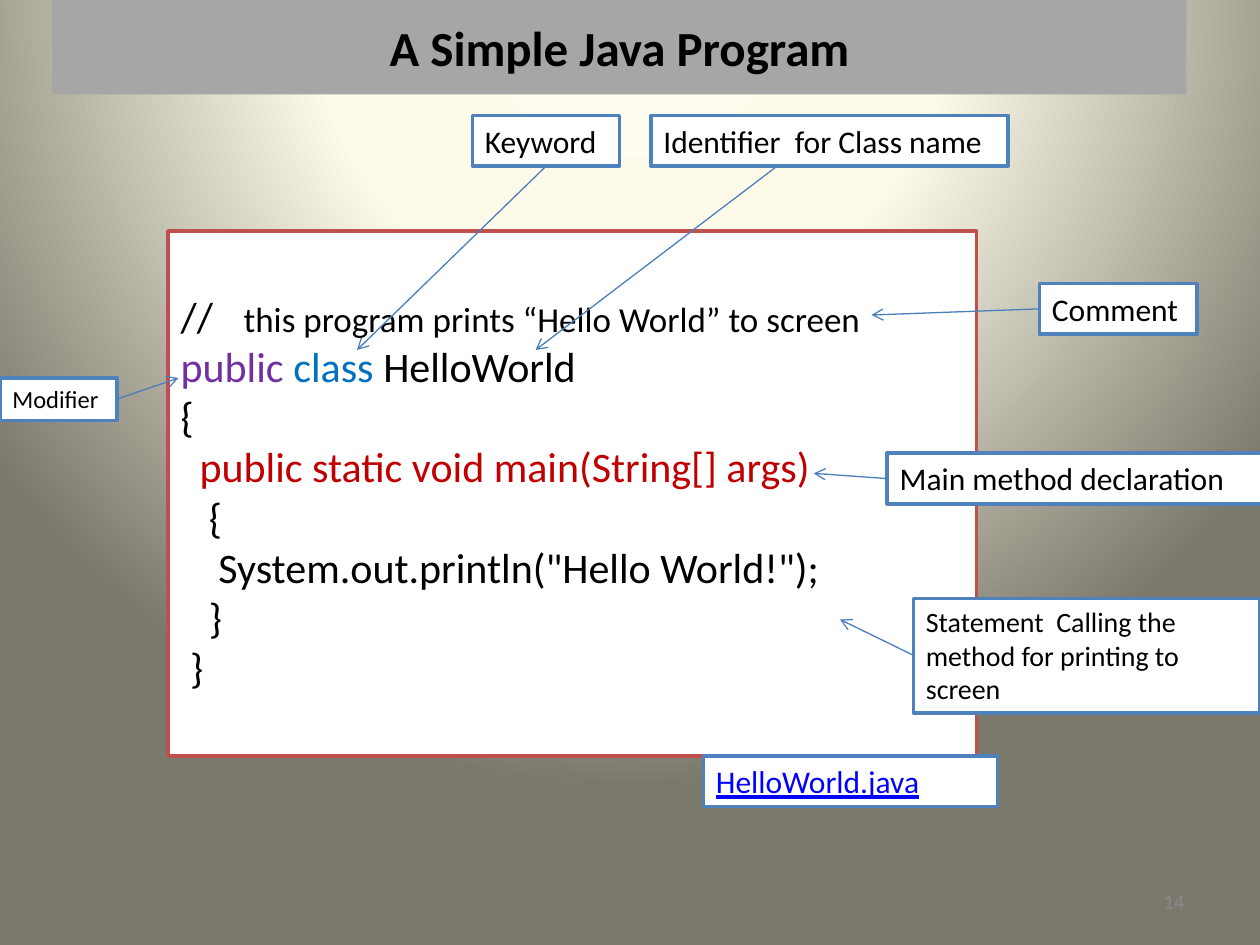
from dataclasses import dataclass

from lxml import etree
from pptx import Presentation
from pptx.dml.color import RGBColor
from pptx.enum.shapes import MSO_CONNECTOR as Connector, MSO_SHAPE as Shape
from pptx.enum.text import MSO_ANCHOR as Anchor, MSO_AUTO_SIZE as AutoSize, PP_ALIGN as Align
from pptx.oxml import parse_xml
from pptx.oxml.ns import nsdecls, qn
from pptx.util import Pt


@dataclass(frozen=True)
class Theme:
    font: str = "Calibri"
    black: str = "000000"
    white: str = "FFFFFF"
    band: str = "A6A6A6"
    code_border: str = "C0504D"
    label_border: str = "4F81BD"
    arrow: str = "4B7EBC"
    modifier: str = "7030A0"
    keyword: str = "0070C0"
    method: str = "C00000"
    link: str = "0000FF"
    number: str = "898989"
    title_size: int = 28
    code_size: int = 24
    comment_size: int = 20
    label_size: int = 18
    small_size: int = 16
    tiny_size: int = 14
    number_size: int = 12


theme = Theme()


def style_span(span, size, color=theme.black, bold=False):
    span.font.name = theme.font
    span.font.size = Pt(size)
    span.font.bold = bold
    span.font.color.rgb = RGBColor.from_string(color)


def paint(box, fill, border=None):
    box.fill.solid()
    box.fill.fore_color.rgb = RGBColor.from_string(fill)
    if border:
        box.line.color.rgb = RGBColor.from_string(border)
        box.line.width = Pt(2)


deck = Presentation()
deck.slide_width, deck.slide_height = Pt(720), Pt(540)
page = deck.slides.add_slide(deck.slide_layouts[1])

# Background: radial gradient centred above the page
stops = [(0, "FEFCEE"), (40, "FDFAEA"), (100, "7B796B")]
stop_xml = "".join(
    f'<a:gs pos="{position * 1000}"><a:srgbClr val="{color}"/></a:gs>' for position, color in stops)
page.element.cSld.insert(0, parse_xml(
    f'<p:bg {nsdecls("p", "a")}><p:bgPr><a:gradFill rotWithShape="1"><a:gsLst>{stop_xml}</a:gsLst>'
    '<a:path path="circle"><a:fillToRect l="50000" t="-80000" r="50000" b="180000"/></a:path>'
    '</a:gradFill><a:effectLst/></p:bgPr></p:bg>'))

# Title band
title = page.shapes.title
title.left, title.top, title.width, title.height = Pt(30), Pt(0), Pt(648), Pt(54)
paint(title, theme.band)
title.text_frame.text = "A Simple Java Program"
title.text_frame.vertical_anchor = Anchor.MIDDLE
title.text_frame.paragraphs[0].alignment = Align.CENTER
style_span(title.text_frame.paragraphs[0].runs[0], theme.title_size, bold=True)

# Code listing: indent in characters, then spans of text, size and colour
code_lines = [
    (0, [("//\t", theme.code_size, theme.black),
         ("this program prints “Hello World” to screen", theme.comment_size, theme.black)]),
    (0, [("public ", theme.code_size, theme.modifier),
         ("class ", theme.code_size, theme.keyword),
         ("HelloWorld", theme.code_size, theme.black)]),
    (0, [("{", theme.code_size, theme.black)]),
    (2, [("public static void main(String[] args)", theme.code_size, theme.method)]),
    (3, [("{", theme.code_size, theme.black)]),
    (4, [('System.out.println("Hello World!");', theme.code_size, theme.black)]),
    (3, [("}", theme.code_size, theme.black)]),
    (1, [("}", theme.code_size, theme.black)]),
]
character_width = 5.4
code = page.placeholders[1]
code.left, code.top, code.width, code.height = Pt(96), Pt(132), Pt(462), Pt(300)
paint(code, theme.white, theme.code_border)
frame = code.text_frame
frame.auto_size = AutoSize.NONE
frame.vertical_anchor = Anchor.TOP
frame.margin_top = Pt(34)
for index, (indent, spans) in enumerate(code_lines):
    para = frame.paragraphs[0] if index == 0 else frame.add_paragraph()
    para.space_before = Pt(0)
    para.line_spacing = Pt(28.7)
    properties = para._p.get_or_add_pPr()
    properties.set("marL", str(Pt(indent * character_width)))
    properties.set("indent", "0")
    etree.SubElement(properties, qn("a:buNone"))
    if index == 0:
        tabs = etree.SubElement(properties, qn("a:tabLst"))
        etree.SubElement(tabs, qn("a:tab"), pos=str(Pt(40)), algn="l")
    for text, size, color in spans:
        span = para.add_run()
        span.text = text
        style_span(span, size, color)

# Labels: text, left, top, width, height, size, colour, arrow start and end
labels = [
    ("HelloWorld.java", 402, 432, 168, 29, theme.label_size, theme.link, None),
    ("Main method declaration", 507, 259, 216, 29, theme.label_size, theme.black,
     (507, 273.5, 465, 270.5)),
    ("Statement  Calling the method for printing to screen", 522, 342, 198, 65.5,
     theme.small_size, theme.black, (522, 374.5, 480, 354)),
    ("Comment", 594, 162, 90, 29, theme.label_size, theme.black, (594, 176.5, 498, 180)),
    ("Modifier", 0, 216, 67, 24.25, theme.tiny_size, theme.black, (67, 228, 102, 216)),
    ("Keyword", 270, 66, 84, 29, theme.label_size, theme.black, (312, 95, 204, 200)),
    ("Identifier  for Class name", 372, 66, 204, 29, theme.label_size, theme.black,
     (444, 95, 306, 200)),
]
for text, left, top, width, height, size, color, ends in labels:
    box = page.shapes.add_shape(Shape.RECTANGLE, Pt(left), Pt(top), Pt(width), Pt(height))
    box.shadow.inherit = False
    paint(box, theme.white, theme.label_border)
    box.text_frame.word_wrap = True
    box.text_frame.vertical_anchor = Anchor.TOP
    box.text_frame.text = text
    para = box.text_frame.paragraphs[0]
    para.alignment = Align.LEFT
    style_span(para.runs[0], size, color)
    para.runs[0].font.underline = color == theme.link
    if ends:
        arrow = page.shapes.add_connector(Connector.STRAIGHT, *[Pt(value) for value in ends])
        arrow.line.color.rgb = RGBColor.from_string(theme.arrow)
        arrow.line.width = Pt(0.75)
        etree.SubElement(arrow.line._get_or_add_ln(), qn("a:tailEnd"), type="arrow")
        etree.SubElement(arrow._element.spPr, qn("a:effectLst"))

# Page number
number = page.shapes.add_textbox(Pt(516), Pt(500.5), Pt(168), Pt(28.75))
number.text_frame.word_wrap = True
number.text_frame.vertical_anchor = Anchor.MIDDLE
number.text_frame.text = "14"
number.text_frame.paragraphs[0].alignment = Align.RIGHT
style_span(number.text_frame.paragraphs[0].runs[0], theme.number_size, theme.number)

deck.save("out.pptx")
